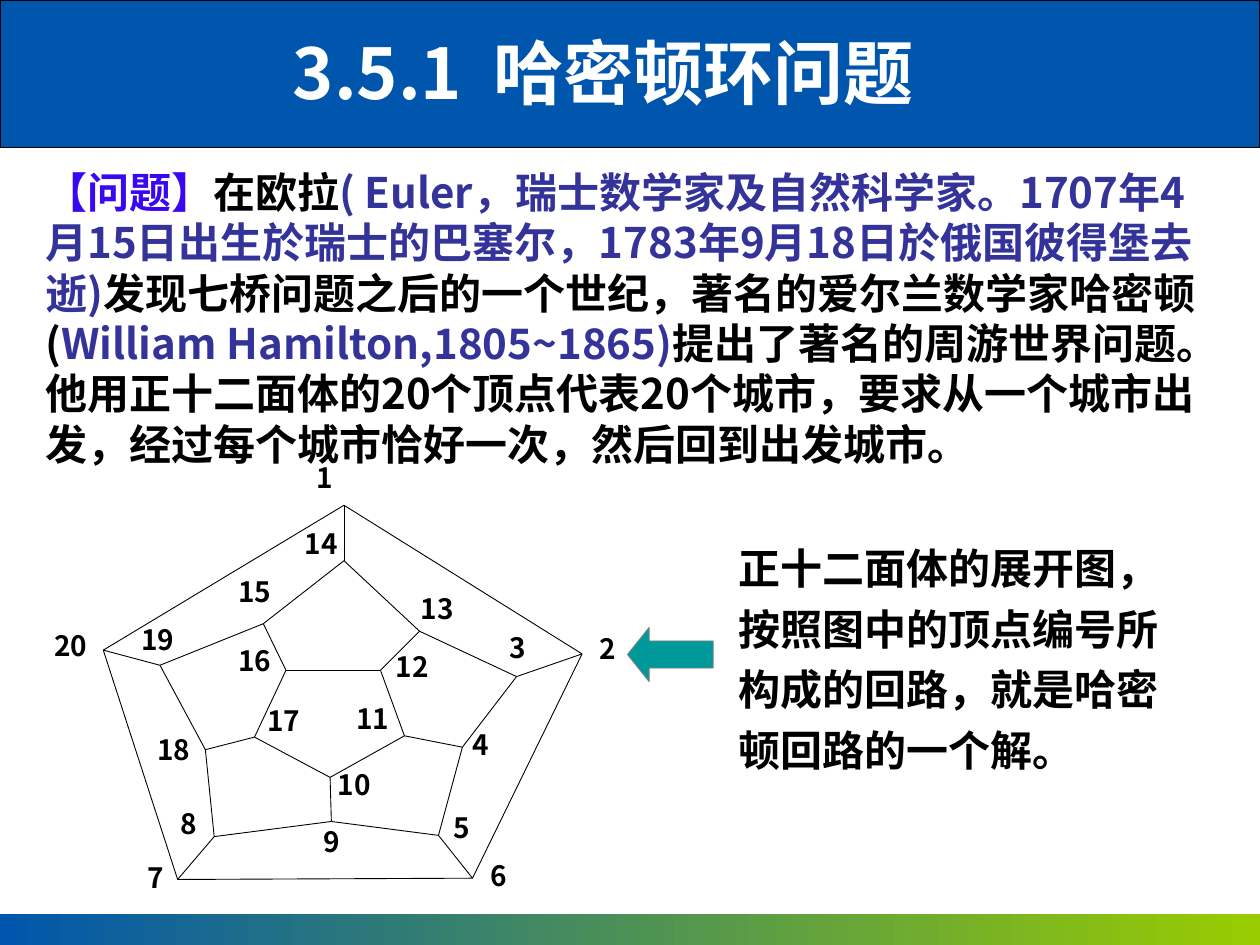
import dataclasses

import lxml.etree
import pptx
import pptx.dml.color
import pptx.enum.dml
import pptx.enum.shapes
import pptx.enum.text
import pptx.oxml.ns
import pptx.util

Inches = pptx.util.Inches
SHAPE = pptx.enum.shapes.MSO_SHAPE
ALIGN = pptx.enum.text.PP_ALIGN
ANCHOR = pptx.enum.text.MSO_ANCHOR
qn = pptx.oxml.ns.qn


@dataclasses.dataclass(frozen=True)
class Theme:
    font: str = "Noto Sans CJK SC"
    title_size: int = 40
    body_size: int = 24
    label_size: int = 16
    blue: str = "0056AC"
    green: str = "99CC00"
    teal: str = "009999"
    grey: str = "808080"
    white: str = "FFFFFF"
    black: str = "000000"
    violet: str = "3907F1"
    indigo: str = "333399"


THEME = Theme()

PROBLEM = [
    ("【问题】", THEME.violet),
    ("在欧拉", THEME.black),
    ("( Euler，瑞士数学家及自然科学家。1707年4月15日出生於瑞士的巴塞尔，"
     "1783年9月18日於俄国彼得堡去逝)", THEME.indigo),
    ("发现七桥问题之后的一个世纪，著名的爱尔兰数学家哈密顿(", THEME.black),
    ("William Hamilton,1805~1865)", THEME.indigo),
    ("提出了著名的周游世界问题。他用正十二面体的20个顶点代表20个城市，"
     "要求从一个城市出发，经过每个城市恰好一次，然后回到出发城市。", THEME.black),
]
SOLUTION = "正十二面体的展开图，按照图中的顶点编号所构成的回路，就是哈密顿回路的一个解。"

VERTICES = [
    (2.73, 4.01), (4.62, 5.19), (4.1, 5.37), (3.67, 5.93), (3.48, 6.63),
    (3.75, 6.97), (1.41, 6.98), (1.7, 6.64), (2.63, 6.52), (2.62, 6.17),
    (3.21, 5.84), (3.02, 5.32), (3.33, 5.01), (2.73, 4.45), (2.09, 4.95),
    (2.27, 5.32), (2.02, 5.85), (1.63, 5.95), (1.27, 5.28), (0.82, 5.16),
]
LABELS = [
    (2.51, 3.72), (4.76, 5.08), (4.04, 5.07), (3.75, 5.84), (3.6, 6.5),
    (3.89, 6.88), (1.17, 6.9), (1.43, 6.47), (2.57, 6.61), (2.68, 6.16),
    (2.83, 5.64), (3.14, 5.22), (3.34, 4.76), (2.42, 4.25), (1.89, 4.63),
    (1.89, 5.18), (2.12, 5.65), (1.25, 5.88), (1.12, 5.01), (0.43, 5.06),
]
CYCLE = [(n, n % 20 + 1) for n in range(1, 21)]
CHORDS = [(1, 14), (2, 6), (3, 13), (4, 11), (5, 9),
          (7, 20), (8, 18), (10, 17), (12, 16), (15, 19)]


def rgb(color):
    return pptx.dml.color.RGBColor.from_string(color)


class Builder:
    """Holds the theme and the current slide, and draws each kind of element."""

    def __init__(self, prs, theme):
        self.theme = theme
        self.s = prs.slides.add_slide(prs.slide_layouts[1])

    def place(self, sp, box):
        sp.left, sp.top, sp.width, sp.height = map(Inches, box)

    def style_run(self, r, size, color):
        r.font.size = pptx.util.Pt(size)
        r.font.bold = True
        r.font.name = self.theme.font
        r.font.color.rgb = rgb(color)
        ea = lxml.etree.SubElement(r.font._element, qn("a:ea"))
        ea.set("typeface", self.theme.font)

    def title(self, text, box):
        sp = self.s.shapes.title
        self.place(sp, box)
        tf = sp.text_frame
        tf.text = text
        tf.auto_size = pptx.enum.text.MSO_AUTO_SIZE.NONE
        tf.vertical_anchor = ANCHOR.MIDDLE
        p = tf.paragraphs[0]
        p.alignment = ALIGN.CENTER
        self.style_run(p.runs[0], self.theme.title_size, self.theme.white)

    def body(self, parts, box):
        sp = self.s.placeholders[1]
        self.place(sp, box)
        tf = sp.text_frame
        tf.auto_size = pptx.enum.text.MSO_AUTO_SIZE.NONE
        p = tf.paragraphs[0]
        p.space_before = pptx.util.Pt(0)
        pPr = p._p.get_or_add_pPr()
        pPr.set("marL", "0")
        pPr.set("indent", "0")
        lxml.etree.SubElement(pPr, qn("a:buNone"))
        for text, color in parts:
            r = p.add_run()
            r.text = text
            self.style_run(r, self.theme.body_size, color)

    def text(self, text, box, size, spacing, margin=None, align=None):
        sp = self.s.shapes.add_textbox(*map(Inches, box))
        tf = sp.text_frame
        tf.word_wrap = True
        if margin is not None:
            tf.margin_left = tf.margin_right = Inches(margin)
            tf.margin_top = tf.margin_bottom = Inches(margin)
        tf.text = text
        p = tf.paragraphs[0]
        p.alignment = align
        p.line_spacing = spacing
        self.style_run(p.runs[0], size, self.theme.black)

    def shape(self, kind, box, fill, line=None, width=0.5):
        sp = self.s.shapes.add_shape(kind, *map(Inches, box))
        sp.shadow.inherit = False
        if isinstance(fill, tuple):
            sp.fill.gradient()
            sp.fill.gradient_angle = 0
            for stop, color, position in zip(sp.fill.gradient_stops, fill, (0, 1)):
                stop.color.rgb = rgb(color)
                stop.position = position
        else:
            sp.fill.solid()
            sp.fill.fore_color.rgb = rgb(fill)
        if line:
            sp.line.color.rgb = rgb(line)
            sp.line.width = pptx.util.Pt(width)
        else:
            sp.line.fill.background()
        return sp

    def backdrop(self, *args, **kwargs):
        sp = self.shape(*args, **kwargs)
        self.s.shapes._spTree.insert(2, sp._element)

    def edge(self, start, end):
        line = self.s.shapes.add_connector(
            pptx.enum.shapes.MSO_CONNECTOR.STRAIGHT, *map(Inches, start + end))
        line.line.color.rgb = rgb(self.theme.black)
        line.line.width = pptx.util.Pt(0.5)
        lxml.etree.SubElement(line._element.spPr, qn("a:effectLst"))

    def graph(self):
        for a, b in CYCLE + CHORDS:
            self.edge(VERTICES[a - 1], VERTICES[b - 1])
        for n, (x, y) in enumerate(LABELS, 1):
            self.text(str(n), (x, y, 0.25 if n < 10 else 0.34, 0.24),
                      self.theme.label_size, 0.72, 0, ALIGN.JUSTIFY)


def main():
    prs = pptx.Presentation()
    prs.slide_width, prs.slide_height = Inches(10), Inches(7.5)
    b = Builder(prs, THEME)
    b.backdrop(SHAPE.RECTANGLE, (0, 7.25, 10, 0.25), (THEME.blue, THEME.green))
    b.backdrop(SHAPE.RECTANGLE, (0, 0, 10, 1.17), THEME.blue, THEME.black, 0.75)
    b.title("3.5.1  哈密顿环问题 ", (1.1, 0.18, 7.5, 0.77))
    b.body(PROBLEM, (0.26, 1.27, 9.47, 2.52))
    b.graph()
    b.text(SOLUTION, (5.76, 4.18, 3.72, 2.02), THEME.body_size, 1.2)
    arrow = b.shape(SHAPE.LEFT_ARROW, (4.98, 4.98, 0.68, 0.43), THEME.teal, THEME.grey)
    arrow.adjustments[1] = 0.4
    prs.save("out.pptx")


if __name__ == "__main__":
    main()
